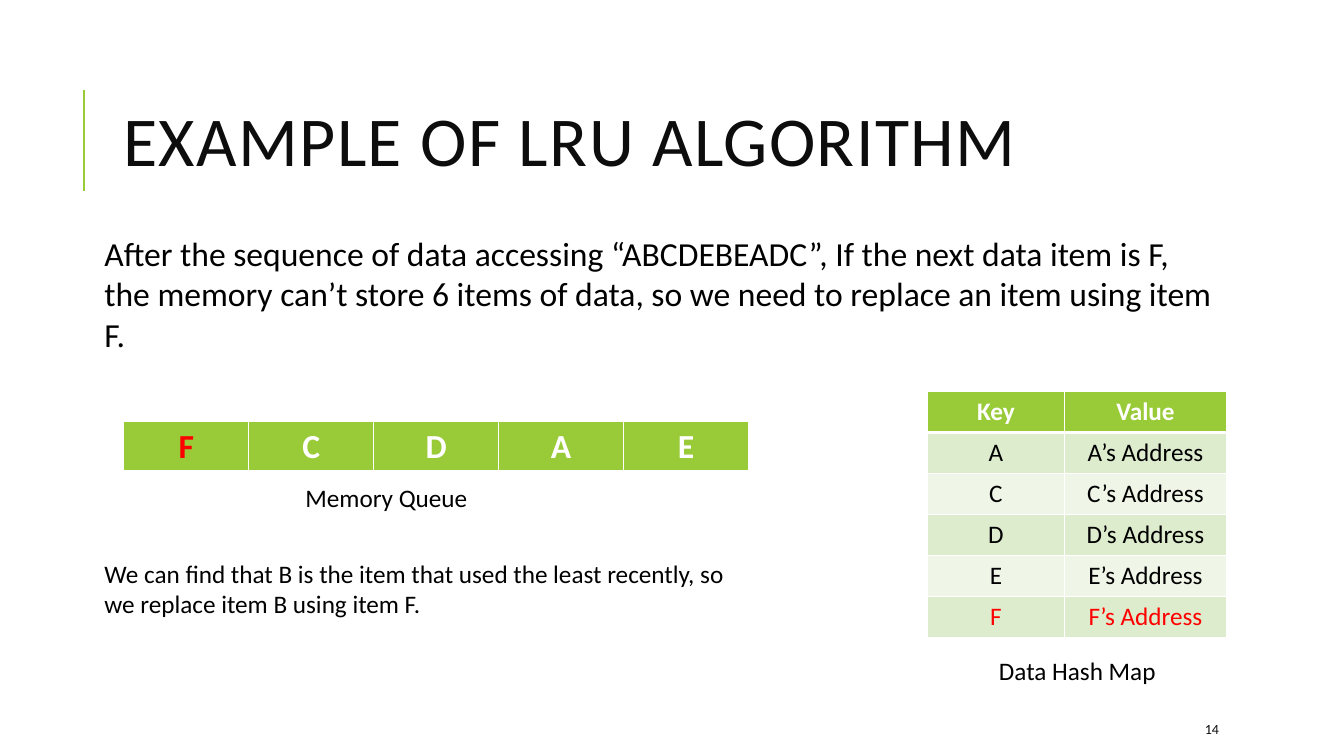
from lxml import etree
from pptx import Presentation
from pptx.dml.color import RGBColor
from pptx.enum.shapes import MSO_CONNECTOR as Connector
from pptx.enum.text import MSO_ANCHOR as Anchor, PP_ALIGN as Align
from pptx.oxml.ns import qn
from pptx.util import Pt

EMU_PER_PX = 9525
GREEN, RED, BLACK, WHITE, INK = "99CB38", "FF0000", "000000", "FFFFFF", "0D0D0D"
BANDS = ("DEECCE", "EFF6E8")


def px(length):
    return length * EMU_PER_PX


def color(value):
    return RGBColor.from_string(value)


class SlideBuilder:
    font_name = "Calibri"

    def __init__(self, slide):
        self.slide = slide

    def style(self, paragraph, size, ink, align=Align.LEFT, bold=False):
        paragraph.alignment = align
        font = paragraph.font
        font.name, font.size, font.bold = self.font_name, Pt(size), bold
        font.color.rgb = color(ink)

    def text(self, words, box, size, ink=BLACK, align=Align.LEFT, anchor=Anchor.TOP):
        shape = self.slide.shapes.add_textbox(*map(px, box))
        frame = shape.text_frame
        frame.word_wrap = True
        frame.vertical_anchor = anchor
        paragraph = frame.paragraphs[0]
        paragraph.text = words
        self.style(paragraph, size, ink, align)
        return paragraph

    def line(self, start, end, ink, width):
        connector = self.slide.shapes.add_connector(
            Connector.STRAIGHT, *map(px, start + end))
        connector.line.color.rgb = color(ink)
        connector.line.width = Pt(width)
        etree.SubElement(connector._element.spPr, qn("a:effectLst"))

    def borders(self, cell, top, bottom):
        widths = {"a:lnL": 1, "a:lnR": 1, "a:lnT": top, "a:lnB": bottom}
        properties = cell._tc.get_or_add_tcPr()
        for index, (tag, width) in enumerate(widths.items()):
            border = etree.Element(qn(tag), w=str(Pt(width)))
            fill = etree.SubElement(border, qn("a:solidFill"))
            etree.SubElement(fill, qn("a:srgbClr"), val=WHITE)
            properties.insert(index, border)

    def table(self, rows, left, top, widths, row_height, size):
        """The first row is a green header, the others are banded; F is red."""
        table = self.slide.shapes.add_table(
            len(rows), len(widths), px(left), px(top),
            px(sum(widths)), px(row_height * len(rows))).table
        for column, width in zip(table.columns, widths):
            column.width = px(width)
        for r, row in enumerate(rows):
            header = r == 0
            for c, words in enumerate(row):
                cell = table.cell(r, c)
                cell.text = words
                cell.fill.solid()
                cell.fill.fore_color.rgb = color(GREEN if header else BANDS[(r - 1) % 2])
                self.borders(cell, 3 if r == 1 else 1, 3 if header else 1)
                ink = RED if words.startswith("F") else WHITE if header else BLACK
                self.style(cell.text_frame.paragraphs[0], size, ink, Align.CENTER, header)


def main():
    presentation = Presentation()
    presentation.slide_width, presentation.slide_height = px(1280), px(720)
    builder = SlideBuilder(presentation.slides.add_slide(presentation.slide_layouts[6]))

    # Title with its accent line
    builder.line((80, 182), (80, 86), GREEN, 1.5)
    title = builder.text("EXAMPLE OF LRU ALGORITHM", (108, 61, 1020, 157), 50, INK,
                         anchor=Anchor.MIDDLE)
    title.line_spacing = 0.8
    title.runs[0].font._element.set("spc", "100")

    # Explanation
    builder.text("After the sequence of data accessing “ABCDEBEADC”, If the next data "
                 "item is F, the memory can’t store 6 items of data, so we need to "
                 "replace an item using item F.", (90, 217, 1082, 87), 24)
    builder.text("We can find that B is the item that used the least recently, so we "
                 "replace item B using item F.", (90, 527, 640, 68), 18)

    # Hash map
    entries = [(key, f"{key}’s Address") for key in "ACDEF"]
    builder.table([("Key", "Value")] + entries, 883, 373, (131, 154), 39, 18)
    builder.text("Data Hash Map", (888, 619, 276, 38), 18, align=Align.CENTER)

    # Memory queue
    builder.table(["FCDAE"], 118, 401, (119,) * 5, 48, 24)
    builder.text("Memory Queue", (230, 455, 276, 38), 18, align=Align.CENTER)

    # Page number
    builder.text("14", (1138, 680, 102, 29), 10, INK, anchor=Anchor.MIDDLE)

    presentation.save("out.pptx")


if __name__ == "__main__":
    main()
